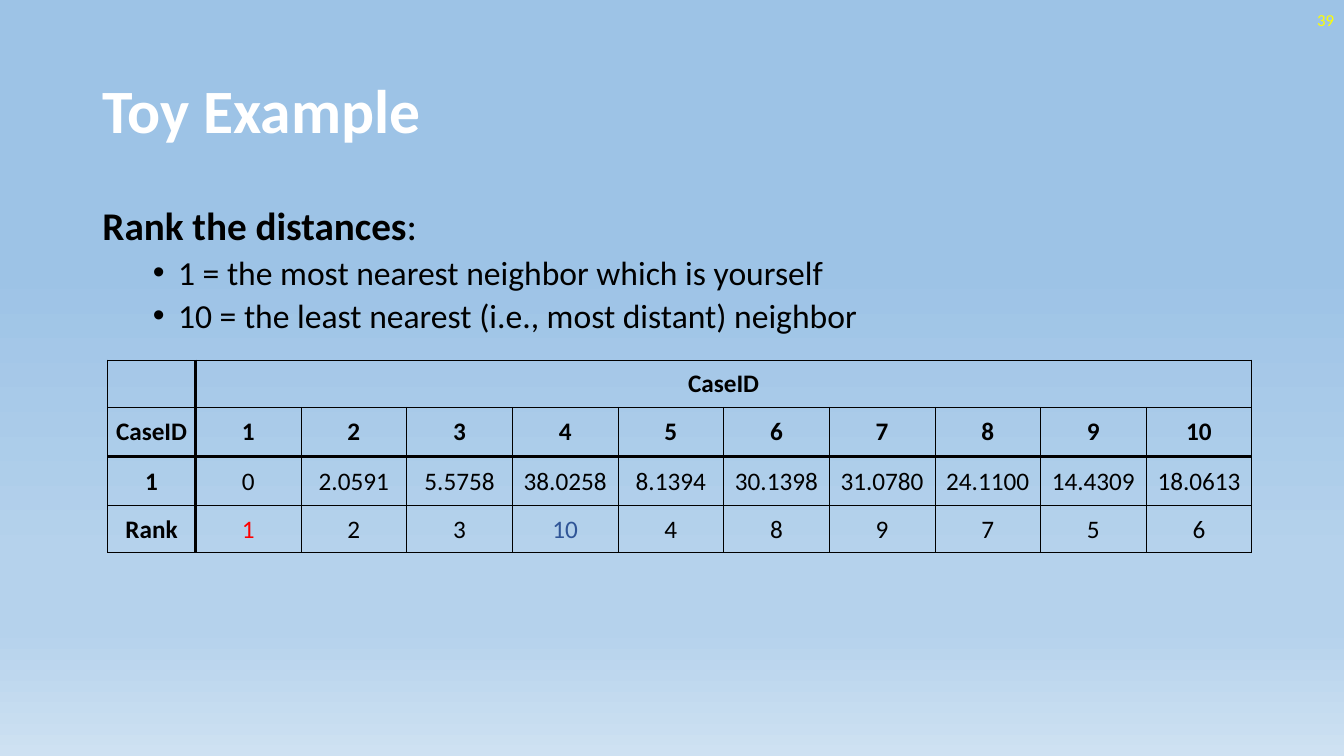
import lxml.etree
import pptx
import pptx.dml.color
import pptx.enum.text
import pptx.oxml.ns
import pptx.util

Pt = pptx.util.Pt
RGB = pptx.dml.color.RGBColor
ALIGN = pptx.enum.text.PP_ALIGN
ANCHOR = pptx.enum.text.MSO_ANCHOR
BLACK = RGB(0, 0, 0)
WHITE = RGB(255, 255, 255)
YELLOW = RGB(255, 255, 0)
RED = RGB(255, 0, 0)
BLUE = RGB(0x2F, 0x55, 0x97)
SKY = RGB(0x9D, 0xC3, 0xE6)
MIST = RGB(0xB5, 0xD2, 0xEC)
PALE = RGB(0xCE, 0xE1, 0xF2)
STOPS = [(35, SKY), (74, MIST), (83, MIST), (100, PALE)]
FONT = "Calibri"
THIN, THICK = 0.5, 2
POINTS = ["1 = the most nearest neighbor which is yourself",
          "10 = the least nearest (i.e., most distant) neighbor"]
ROWS = [
    ["", "CaseID"] + [""] * 9,
    ["CaseID"] + [str(case) for case in range(1, 11)],
    ["1", "0", "2.0591", "5.5758", "38.0258", "8.1394",
     "30.1398", "31.0780", "24.1100", "14.4309", "18.0613"],
    ["Rank", "1", "2", "3", "10", "4", "8", "9", "7", "5", "6"],
]
HUES = {(3, 1): RED, (3, 4): BLUE}


def add(node, tag, **attrs):
    return lxml.etree.SubElement(node, pptx.oxml.ns.qn(tag), attrs)


def write(para, text, size=18, color=BLACK, bold=False, align=ALIGN.LEFT):
    para.alignment = align
    run = para.add_run()
    run.text = text
    run.font.name = FONT
    run.font.size = Pt(size)
    run.font.bold = bold
    run.font.color.rgb = color


def place(shape, left, top, width, height):
    shape.left, shape.top = Pt(left), Pt(top)
    shape.width, shape.height = Pt(width), Pt(height)


def space(para, before, left=0, hang=0, mark=None):
    para.line_spacing = 0.9
    para.space_before = Pt(before)
    props = para._p.get_or_add_pPr()
    props.set("marL", str(Pt(left)))
    props.set("indent", str(Pt(-hang)))
    if mark:
        add(props, "a:buFont", typeface="Arial")
        add(props, "a:buChar", char=mark)
    else:
        add(props, "a:buNone")


def paint(slide):
    fill = slide.background.fill
    fill.gradient()
    fill.gradient_angle = 270
    stops = next(slide.element.iter(pptx.oxml.ns.qn("a:gsLst")))
    for stop in list(stops):
        stops.remove(stop)
    for spot, color in STOPS:
        stop = add(stops, "a:gs", pos=str(spot * 1000))
        add(stop, "a:srgbClr", val=str(color))


def add_title(slide):
    title = slide.shapes.title
    place(title, 66, 28.8, 828, 104.4)
    frame = title.text_frame
    frame.auto_size = pptx.enum.text.MSO_AUTO_SIZE.NONE
    frame.vertical_anchor = ANCHOR.MIDDLE
    para = frame.paragraphs[0]
    para.line_spacing = 0.9
    write(para, "Toy Example", size=44, color=WHITE, bold=True)


def add_body(slide):
    body = slide.placeholders[1]
    place(body, 66, 144, 828, 342.7)
    frame = body.text_frame
    frame.auto_size = pptx.enum.text.MSO_AUTO_SIZE.NONE
    head = frame.paragraphs[0]
    space(head, 10)
    write(head, "Rank the distances", size=28, bold=True)
    write(head, ":", size=28)
    for point in POINTS:
        para = frame.add_paragraph()
        para.level = 1
        space(para, 5, left=54, hang=18, mark="•")
        write(para, point, size=24)


def add_page(slide):
    box = slide.shapes.add_textbox(Pt(744), Pt(0), Pt(216), Pt(28.8))
    frame = box.text_frame
    frame.word_wrap = True
    frame.vertical_anchor = ANCHOR.MIDDLE
    write(frame.paragraphs[0], "39", size=12, color=YELLOW, align=ALIGN.RIGHT)


def edge(cell, side, width):
    props = cell._tc.get_or_add_tcPr()
    line = add(props, "a:ln" + side, w=str(Pt(width)))
    add(add(line, "a:solidFill"), "a:srgbClr", val=str(BLACK))


def frame_cell(cell, row, col):
    for side, width in [("L", THICK if col == 1 else THIN),
                        ("R", THICK if col == 0 else THIN),
                        ("T", THICK if row == 2 else THIN),
                        ("B", THICK if row == 1 else THIN)]:
        inner = cell.is_spanned and (side == "L" or side == "R" and col < 10)
        if not inner:
            edge(cell, side, width)


def add_grid(slide):
    shape = slide.shapes.add_table(4, 11, Pt(77), Pt(257.2), Pt(817.2), Pt(137.6))
    table = shape.table
    table.first_row = table.horz_banding = False
    for col, column in enumerate(table.columns):
        column.width = Pt(75.46 if col else 62.6)
    for row, line in enumerate(table.rows):
        line.height = Pt(35.2 if row in (1, 2) else 33.6)
    table.cell(0, 1).merge(table.cell(0, 10))
    for row, texts in enumerate(ROWS):
        for col, text in enumerate(texts):
            cell = table.cell(row, col)
            frame_cell(cell, row, col)
            cell.fill.background()
            cell.vertical_anchor = ANCHOR.MIDDLE
            cell.margin_left = cell.margin_right = cell.margin_top = Pt(0.72)
            cell.margin_bottom = Pt(0)
            if text:
                write(cell.text_frame.paragraphs[0], text,
                      color=HUES.get((row, col), BLACK),
                      bold=row < 2 or col == 0, align=ALIGN.CENTER)


def main():
    """Build the slide that ranks the distances and save it."""
    deck = pptx.Presentation()
    deck.slide_width, deck.slide_height = Pt(960), Pt(540)
    slide = deck.slides.add_slide(deck.slide_layouts[1])
    paint(slide)
    add_body(slide)
    add_title(slide)
    add_page(slide)
    add_grid(slide)
    deck.save("out.pptx")


if __name__ == "__main__":
    main()
